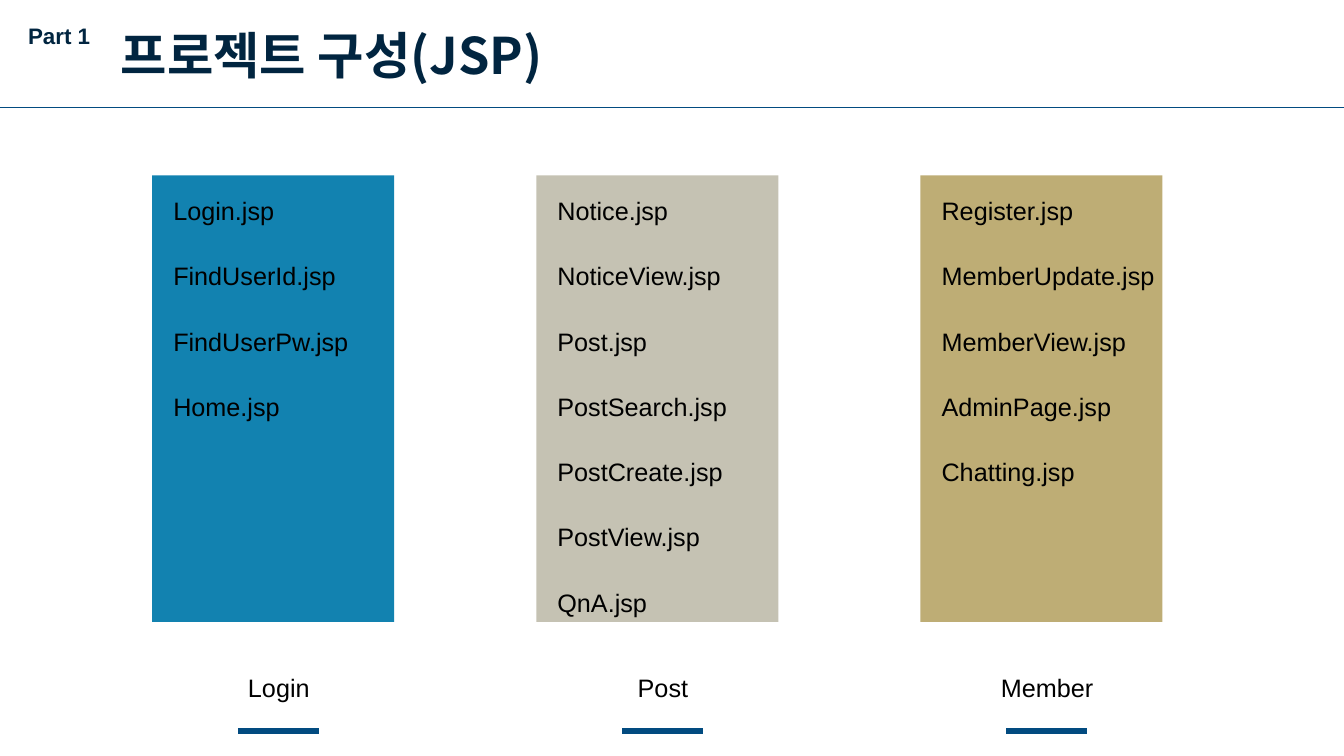
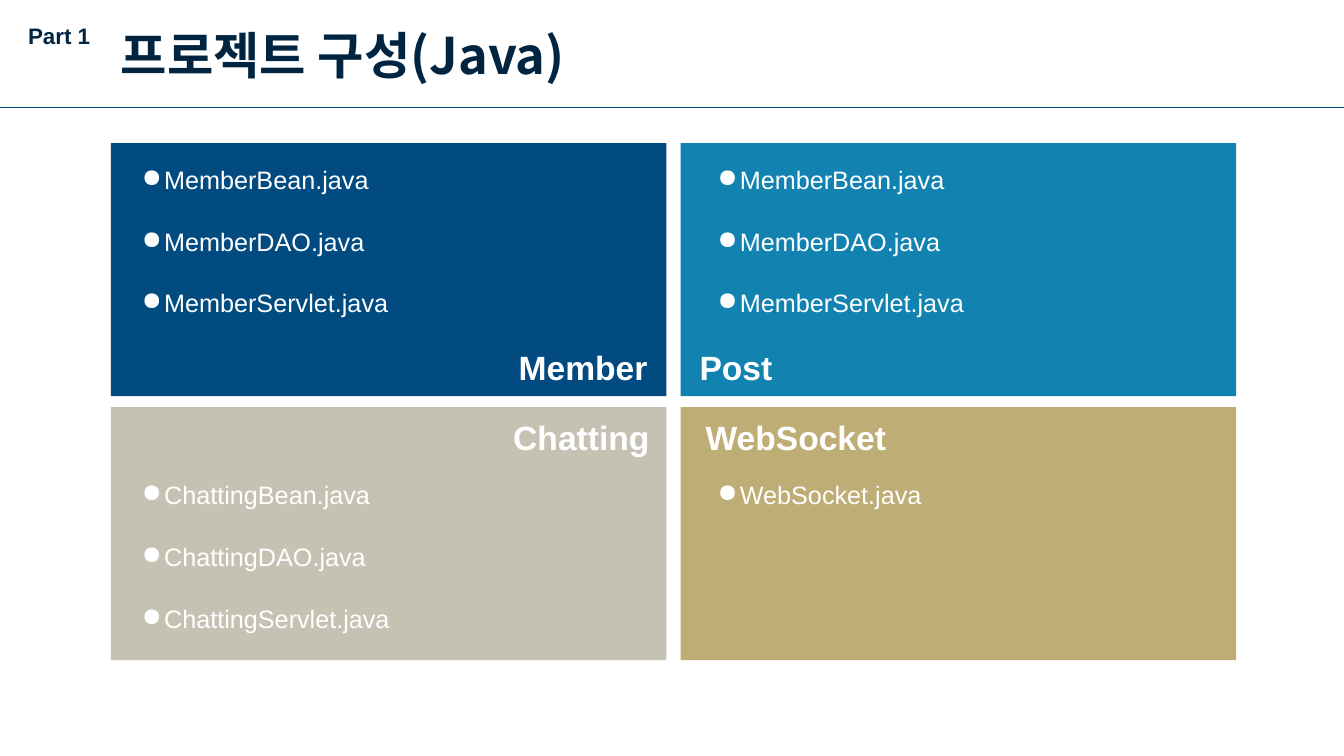
from pptx import Presentation
from pptx.dml.color import RGBColor
from pptx.enum.shapes import MSO_CONNECTOR, MSO_SHAPE
from pptx.enum.text import PP_ALIGN
from pptx.oxml.ns import qn
from pptx.util import Inches, Pt
from lxml.etree import SubElement

# Shared style
COLORS = {
    "ink": "012540", "navy": "024B80", "blue": "1282B0", "stone": "C5C2B3",
    "gold": "BEAD75", "black": "000000", "white": "FFFFFF",
}
BODY_FONT = "Arial"
TITLE_FONT = "Noto Sans CJK KR"
SLIDE_WIDTH, SLIDE_HEIGHT = 13.33, 7.5

# Column grid of the JSP slide
COLUMN_LEFT, COLUMN_STEP, COLUMN_WIDTH = 1.51, 3.81, 2.4
COLUMN_TOP, COLUMN_HEIGHT = 1.74, 4.43
COLUMNS = [
    ("Login", "blue",
     ["Login.jsp", "FindUserId.jsp", "FindUserPw.jsp", "Home.jsp"]),
    ("Post", "stone",
     ["Notice.jsp", "NoticeView.jsp", "Post.jsp", "PostSearch.jsp",
      "PostCreate.jsp", "PostView.jsp", "QnA.jsp"]),
    ("Member", "gold",
     ["Register.jsp", "MemberUpdate.jsp", "MemberView.jsp",
      "AdminPage.jsp", "Chatting.jsp"]),
]

# Two-by-two grid of the Java slide
PANEL_LEFT, PANEL_TOP = 1.1, 1.42
PANEL_WIDTH, PANEL_HEIGHT = 5.51, 2.51
PANEL_STEP_X, PANEL_STEP_Y = 5.65, 2.62
HEADING_WIDTH = 3.37
# Heading, colour, gap from heading to the inner panel edge, files
PANELS = [
    ("Member", "navy", 0.09,
     ["MemberBean.java", "MemberDAO.java", "MemberServlet.java"]),
    ("Post", "blue", 0.09,
     ["MemberBean.java", "MemberDAO.java", "MemberServlet.java"]),
    ("Chatting", "stone", 0.07,
     ["ChattingBean.java", "ChattingDAO.java", "ChattingServlet.java"]),
    ("WebSocket", "gold", 0.15, ["WebSocket.java"]),
]


def rgb(name):
    return RGBColor.from_string(COLORS[name])


def add_block(slide, left, top, width, height, color):
    shape = slide.shapes.add_shape(
        MSO_SHAPE.RECTANGLE, Inches(left), Inches(top), Inches(width), Inches(height))
    shape.shadow.inherit = False
    shape.fill.solid()
    shape.fill.fore_color.rgb = rgb(color)
    shape.line.fill.background()


def add_rule(slide, left, top, width, weight):
    connector = slide.shapes.add_connector(
        MSO_CONNECTOR.STRAIGHT, Inches(left), Inches(top),
        Inches(left + width), Inches(top))
    connector.line.color.rgb = rgb("navy")
    connector.line.width = Pt(weight)
    SubElement(connector._element.spPr, qn("a:effectLst"))


def add_bullet(paragraph):
    properties = paragraph._p.get_or_add_pPr()
    properties.set("marL", str(Inches(0.22)))
    properties.set("indent", str(-Inches(0.22)))
    SubElement(properties, qn("a:buChar")).set("char", "●")


def add_text(slide, left, top, width, height, lines, size=18, color="black",
             bold=False, font=BODY_FONT, align=PP_ALIGN.LEFT, gap=0, bullets=False):
    """Add a text box with one paragraph per line, spaced by gap points."""
    box = slide.shapes.add_textbox(
        Inches(left), Inches(top), Inches(width), Inches(height))
    frame = box.text_frame
    frame.word_wrap = True
    for index, line in enumerate(lines):
        paragraph = frame.add_paragraph() if index else frame.paragraphs[0]
        paragraph.alignment = align
        if index:
            paragraph.space_before = Pt(gap)
        if bullets:
            add_bullet(paragraph)
        run = paragraph.add_run()
        run.text = line
        run.font.size = Pt(size)
        run.font.bold = bold
        run.font.name = font
        run.font.color.rgb = rgb(color)
        SubElement(run._r.get_or_add_rPr(), qn("a:ea")).set("typeface", font)


def add_titled_slide(presentation, title):
    slide = presentation.slides.add_slide(presentation.slide_layouts[6])
    add_rule(slide, 0, 1.07, SLIDE_WIDTH, 0.5)
    add_text(slide, 0.18, 0.17, 0.92, 0.37, ["Part 1"], 16, "ink", True)
    add_text(slide, 1.1, 0.19, 5.13, 0.71, [title], 36, "ink", True, TITLE_FONT)
    return slide


def add_file_column(slide, index, label, color, files):
    left = COLUMN_LEFT + index * COLUMN_STEP
    text_left = left + 0.11
    add_block(slide, left, COLUMN_TOP, COLUMN_WIDTH, COLUMN_HEIGHT, color)
    add_text(slide, text_left, COLUMN_TOP + 0.15, 2.59, 4.2, files, gap=25)
    # Label with its underline
    add_text(slide, text_left, 6.62, 2.29, 0.4, [label], align=PP_ALIGN.CENTER)
    add_rule(slide, left + 0.85, 7.25, 0.8, 4.5)


def add_panel(slide, index, heading, color, inset, files):
    row, column = divmod(index, 2)
    left = PANEL_LEFT + column * PANEL_STEP_X
    top = PANEL_TOP + row * PANEL_STEP_Y
    add_block(slide, left, top, PANEL_WIDTH, PANEL_HEIGHT, color)
    # Headings sit in the corner nearest the centre of the grid
    if column:
        heading_left, align = left + inset, PP_ALIGN.LEFT
    else:
        heading_left = left + PANEL_WIDTH - inset - HEADING_WIDTH
        align = PP_ALIGN.RIGHT
    heading_top = top + (0.05 if row else 1.97)
    add_text(slide, heading_left, heading_top, HEADING_WIDTH, 0.5, [heading],
             24, "white", True, align=align)
    add_text(slide, left + (0.27 if column else 0.21), top + (0.67 if row else 0.16),
             4.44, 1.62, files, color="white", gap=22.5, bullets=True)


def main():
    presentation = Presentation()
    presentation.slide_width = Inches(SLIDE_WIDTH)
    presentation.slide_height = Inches(SLIDE_HEIGHT)

    # JSP files by area
    jsp_slide = add_titled_slide(presentation, "프로젝트 구성(JSP)")
    for index, column in enumerate(COLUMNS):
        add_file_column(jsp_slide, index, *column)

    # Java files by area
    java_slide = add_titled_slide(presentation, "프로젝트 구성(Java)")
    for index, panel in enumerate(PANELS):
        add_panel(java_slide, index, *panel)

    presentation.save("out.pptx")


if __name__ == "__main__":
    main()
